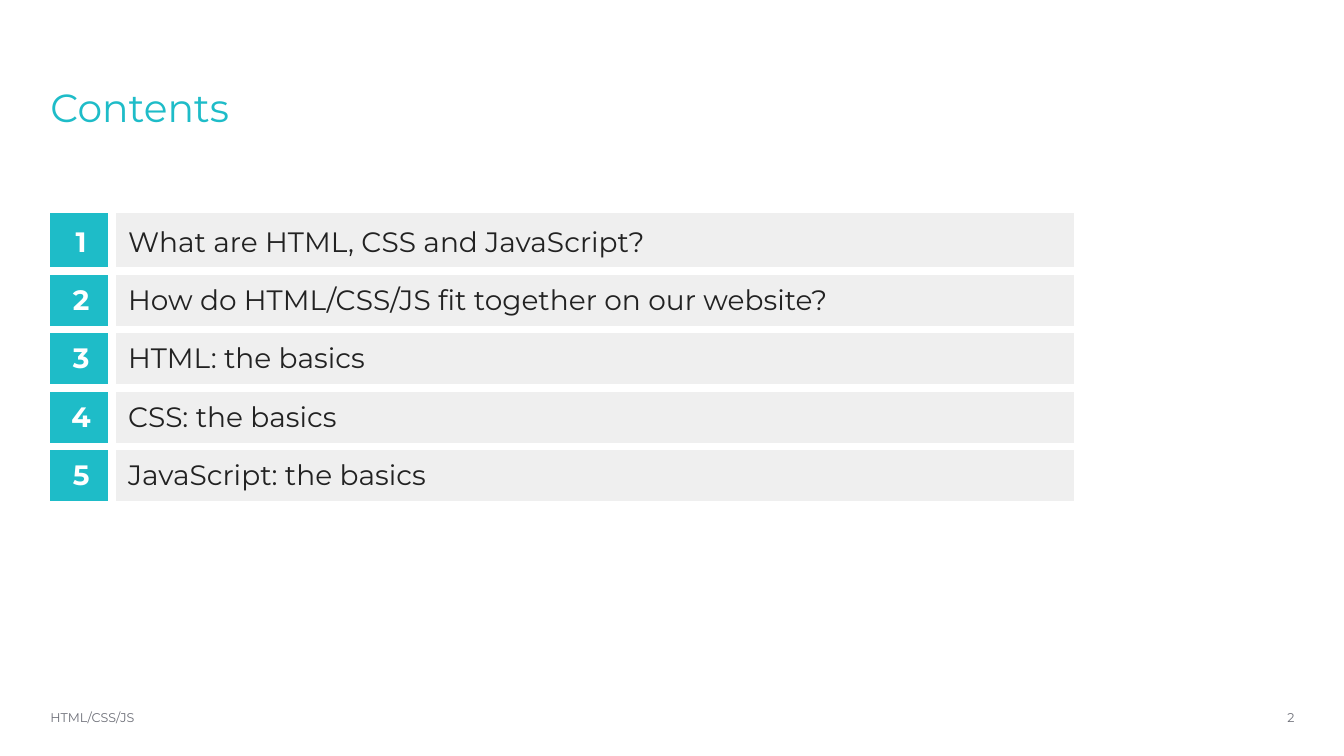
from pptx import Presentation
from pptx.dml.color import RGBColor
from pptx.enum.text import MSO_ANCHOR as Anchor, MSO_AUTO_SIZE as AutoSize, PP_ALIGN as Align
from pptx.oxml import parse_xml
from pptx.oxml.ns import nsdecls
from pptx.util import Inches, Pt

TEAL = RGBColor(0x1E, 0xBC, 0xC8)
PALE = RGBColor(0xEF, 0xEF, 0xEF)
INK = RGBColor(0x22, 0x22, 0x22)
GREY = RGBColor(0x6D, 0x6F, 0x78)
WHITE = RGBColor(0xFF, 0xFF, 0xFF)

TOPICS = [
    "What are HTML, CSS and JavaScript?",
    "How do HTML/CSS/JS fit together on our website?",
    "HTML: the basics",
    "CSS: the basics",
    "JavaScript: the basics",
]


def write(frame, text, *, size, color, bold=False, align=Align.LEFT, **spacing):
    """Fill a text frame with one formatted paragraph; spacing sets paragraph properties."""
    frame.word_wrap = True
    paragraph = frame.paragraphs[0]
    paragraph.alignment = align
    for name, value in spacing.items():
        setattr(paragraph, name, value)
    run = paragraph.add_run()
    run.text = text
    run.font.name = "Montserrat"
    run.font.size = Pt(size)
    run.font.bold = bold
    run.font.color.rgb = color


def set_borders(cell, sides):
    """Draw thick white lines on the given sides (letters of LRTB), none on the others."""
    properties = cell._tc.get_or_add_tcPr()
    for position, side in enumerate("LRTB"):
        paint = (f'<a:solidFill><a:srgbClr val="{WHITE}"/></a:solidFill>'
                 if side in sides else "<a:noFill/>")
        properties.insert(position, parse_xml(
            f'<a:ln{side} {nsdecls("a")} w="{Pt(6)}">{paint}</a:ln{side}>'))


class ContentsSlide:
    def __init__(self, deck):
        self.slide = deck.slides.add_slide(deck.slide_layouts[5])

    def title(self, text):
        heading = self.slide.shapes.title
        heading.left, heading.top = Inches(0.5), Inches(0.88)
        heading.width, heading.height = Inches(11.54), Inches(1.24)
        self.format_frame(heading.text_frame, Anchor.TOP)
        write(heading.text_frame, text, size=28, color=TEAL, line_spacing=0.9)

    def footer(self, text, left, width, align=Align.LEFT):
        box = self.slide.shapes.add_textbox(
            Inches(left), Inches(6.99), Inches(width), Inches(0.25))
        self.format_frame(box.text_frame, Anchor.MIDDLE)
        write(box.text_frame, text, size=9, color=GREY, align=align)

    def agenda(self, topics):
        table = self.slide.shapes.add_table(
            len(topics), 2, Inches(0.5), Inches(2.11), Inches(10.15), Inches(2.85)).table
        table.first_row = table.horz_banding = False
        table.columns[0].width, table.columns[1].width = Inches(0.61), Inches(9.54)
        for row, topic in enumerate(topics):
            edges = "TB" if row else "B"
            number = self.cell(table.cell(row, 0), TEAL, 0.12, edges + "R")
            write(number, str(row + 1), size=20, color=WHITE, bold=True, align=Align.CENTER)
            label = self.cell(table.cell(row, 1), PALE, 0.08, edges + "L")
            write(label, topic, size=20, color=INK, space_before=Pt(0 if row else 9))

    @staticmethod
    def cell(cell, fill, margin, sides):
        """Style a table cell and return its text frame."""
        cell.fill.solid()
        cell.fill.fore_color.rgb = fill
        cell.vertical_anchor = Anchor.MIDDLE
        cell.margin_left = cell.margin_right = Inches(0.16)
        cell.margin_top = cell.margin_bottom = Inches(margin)
        set_borders(cell, sides)
        return cell.text_frame

    @staticmethod
    def format_frame(frame, anchor):
        frame.margin_left = frame.margin_right = 0
        frame.margin_top = frame.margin_bottom = 0
        frame.vertical_anchor = anchor
        frame.auto_size = AutoSize.NONE


def main():
    deck = Presentation()
    deck.slide_width, deck.slide_height = Inches(13.33), Inches(7.5)
    contents = ContentsSlide(deck)
    contents.title("Contents")
    contents.agenda(TOPICS)
    contents.footer("HTML/CSS/JS", left=0.5, width=9.11)
    contents.footer("2", left=12.04, width=0.8, align=Align.RIGHT)
    deck.save("out.pptx")


if __name__ == "__main__":
    main()
